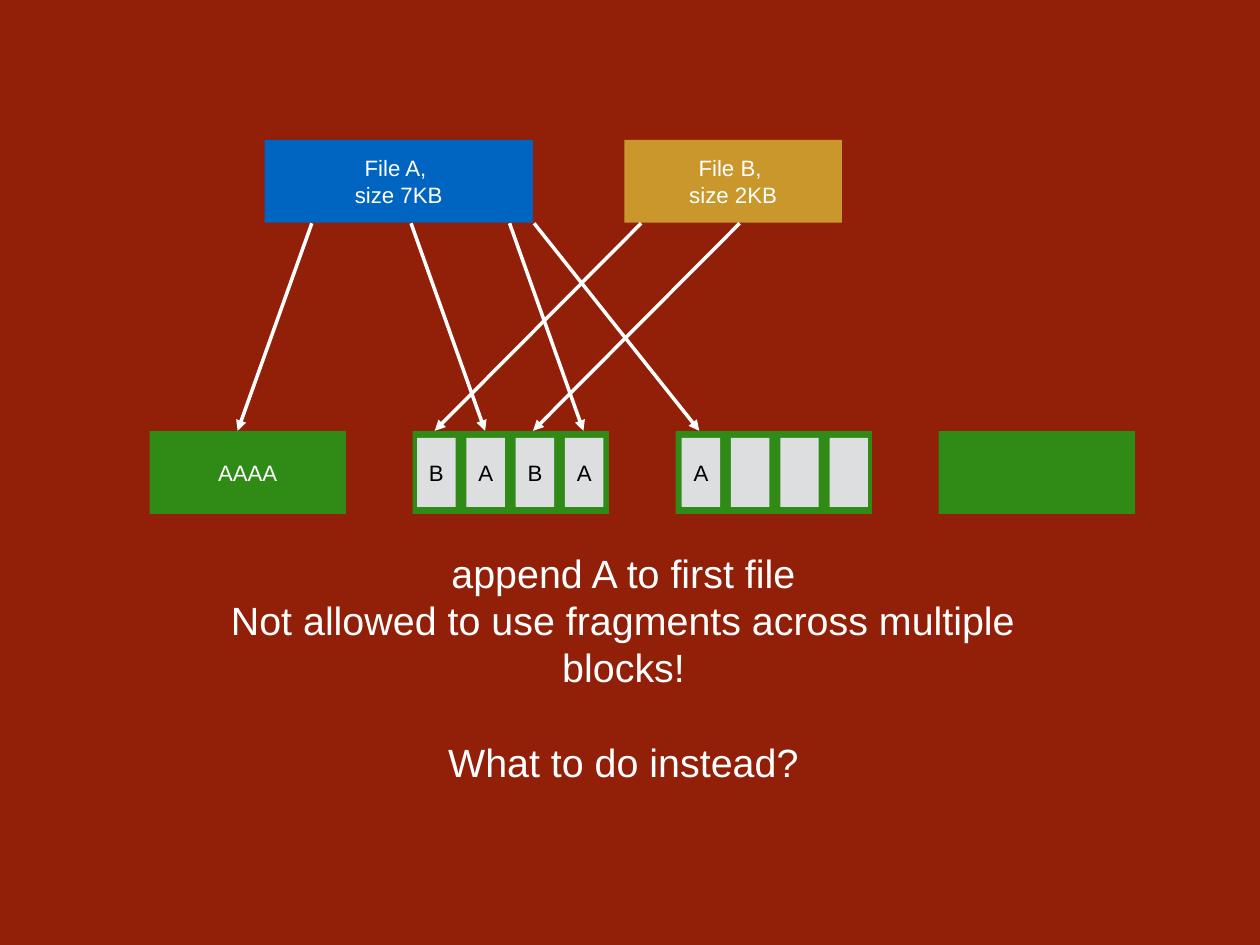
from dataclasses import dataclass
from lxml import etree
from pptx import Presentation
from pptx import util as u
from pptx.dml.color import RGBColor
from pptx.enum import shapes, text
from pptx.oxml import ns


@dataclass(frozen=True)
class Theme:
    back: str = "921F07"
    block: str = "308B16"
    blue: str = "0065C1"
    gold: str = "C9972B"
    cell: str = "DCDEE0"
    light: str = "FFFFFF"
    dark: str = "000000"
    font: str = "Arial"
    small: float = 12.7
    large: float = 22.5
    line: float = 2


class Deck:
    def __init__(self, theme, slide):
        self.theme = theme
        self.slide = slide
        self.paint(slide.background.fill, theme.back)

    def paint(self, fill, color):
        fill.solid()
        fill.fore_color.rgb = RGBColor.from_string(color)

    def style(self, para, size, color):
        para.alignment = text.PP_ALIGN.CENTER
        para.font.name = self.theme.font
        para.font.size = u.Pt(size)
        para.font.color.rgb = RGBColor.from_string(color)

    def frame(self, shape, inset):
        frame = shape.text_frame
        frame.word_wrap = True
        frame.vertical_anchor = text.MSO_ANCHOR.MIDDLE
        frame.margin_left = frame.margin_right = u.Pt(inset)
        frame.margin_top = frame.margin_bottom = u.Pt(inset)
        return frame

    def box(self, x, y, w, h, fill, label="", color=None):
        shape = self.slide.shapes.add_shape(
            shapes.MSO_SHAPE.RECTANGLE, u.Pt(x), u.Pt(y), u.Pt(w), u.Pt(h))
        shape.shadow.inherit = False
        self.paint(shape.fill, fill)
        shape.line.fill.background()
        if label:
            para = self.frame(shape, 0).paragraphs[0]
            para.text = label
            self.style(para, self.theme.small, color or self.theme.light)

    def arrow(self, x1, y1, x2, y2):
        link = self.slide.shapes.add_connector(
            shapes.MSO_CONNECTOR.STRAIGHT, u.Pt(x1), u.Pt(y1), u.Pt(x2), u.Pt(y2))
        link.line.width = u.Pt(self.theme.line)
        self.paint(link.line.fill, self.theme.light)
        etree.SubElement(link.line._ln, ns.qn("a:tailEnd"), type="triangle")
        etree.SubElement(link._element.spPr, ns.qn("a:effectLst"))

    def note(self, x, y, w, h, lines):
        shape = self.slide.shapes.add_textbox(u.Pt(x), u.Pt(y), u.Pt(w), u.Pt(h))
        frame = self.frame(shape, 2.8)
        for i, (line, gap) in enumerate(lines):
            para = frame.add_paragraph() if i else frame.paragraphs[0]
            para.text = line
            para.space_before = u.Pt(gap)
            self.style(para, self.theme.large, self.theme.light)


def main():
    show = Presentation()
    show.slide_width, show.slide_height = u.Pt(720), u.Pt(540)
    theme = Theme()
    deck = Deck(theme, show.slides.add_slide(show.slide_layouts[6]))

    top, tall = 246.4, 47.3
    for i, label in enumerate(["AAAA", "", "", ""]):
        deck.box(85.5 + 150.3 * i, top, 112.2, tall, theme.block, label)

    deck.box(151.2, 79.9, 153.3, tall, theme.blue, "File A, \vsize 7KB")
    deck.box(356.8, 79.9, 124.3, tall, theme.gold, "File B, \vsize 2KB")

    for left, labels in [(238.4, "BABA"), (389.6, "A   ")]:
        for i, label in enumerate(labels):
            deck.box(left + 28.15 * i, 250.2, 22, 39.5, theme.cell,
                     label.strip(), theme.dark)

    for start, end in [(178.2, 135.8), (234.9, 277.2), (291.2, 333.4),
                       (305.2, 399.6), (366.4, 248.4), (422.7, 304.6)]:
        deck.arrow(start, 127.6, end, 246.2)

    deck.note(100.8, 324, 511.2, 114.5, [
        ("append A to first file", 0),
        ("Not allowed to use fragments across multiple blocks!", 0),
        ("What to do instead?", 27),
    ])
    show.save("out.pptx")


if __name__ == "__main__":
    main()
